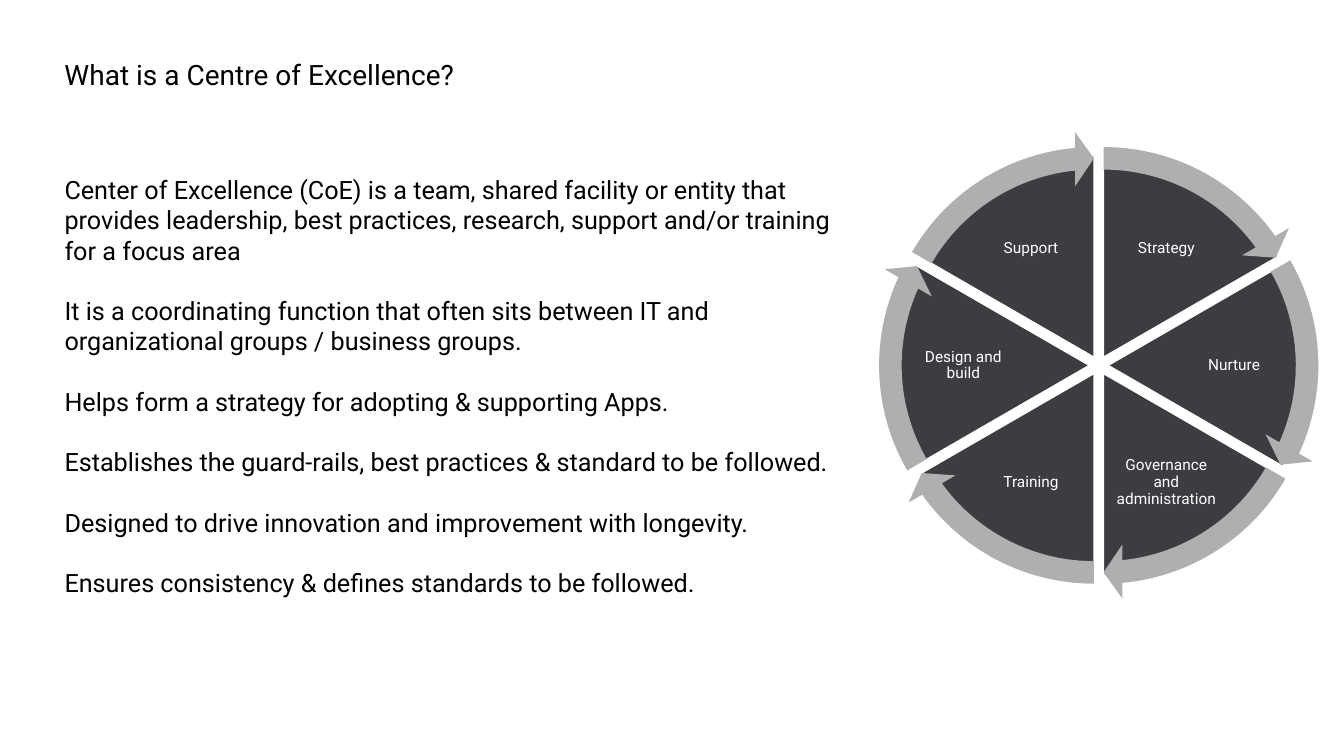
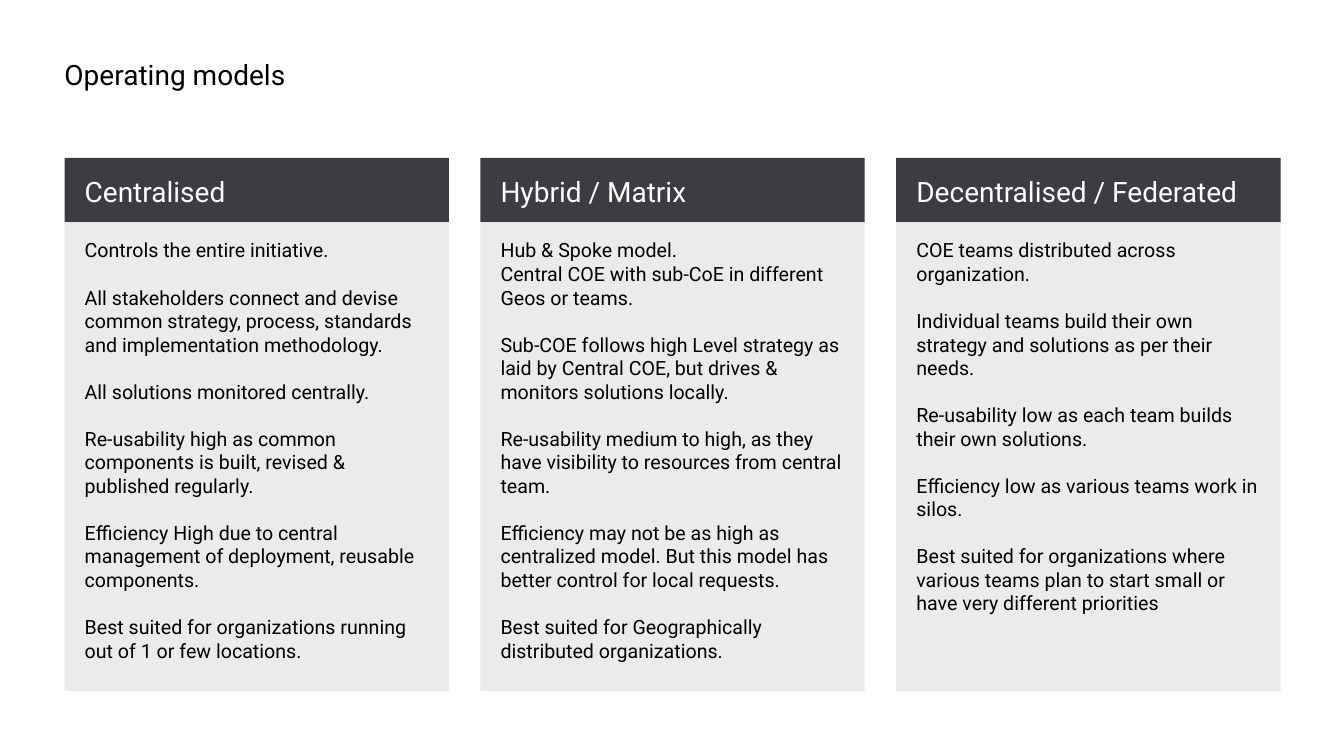
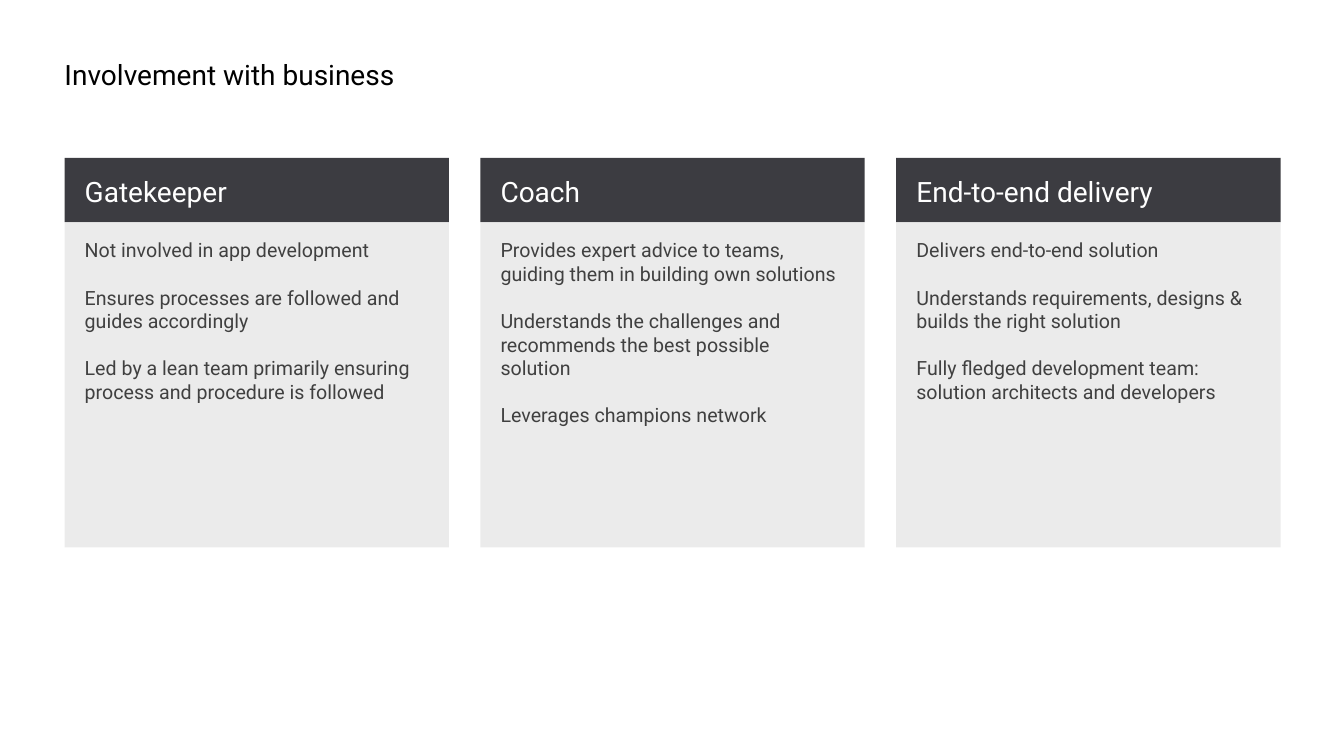
from math import cos, radians, sin

from lxml import etree
from pptx import Presentation
from pptx.dml.color import RGBColor
from pptx.enum.shapes import MSO_SHAPE as Preset
from pptx.enum.text import MSO_ANCHOR as Anchor, PP_ALIGN as Align
from pptx.oxml.ns import qn
from pptx.util import Inches, Pt

WIDTH, HEIGHT = 13.33, 7.5
FONT = "Roboto"
COLORS = {
    "ink": "000000",
    "soft_ink": "404040",
    "paper": "FFFFFF",
    "dark": "3C3C41",
    "card": "D9D9D9",
    "arrow": "AFAFB0",
}
LINE_HEIGHT = 1.2

# Shares of the slide, in percent
MARGIN = 4.8
CARD_WIDTH, CARD_GAP = 28.6, 2.34
BAND_TOP, BAND_HEIGHT = 20.9, 8.5

# Wheel: centre in percent of the slide, sizes in percent of its height
WHEEL_X, WHEEL_Y = 81.75, 48.33
WEDGE_SIZE, ARROW_SIZE, SPREAD = 53.2, 59.73, 1.27
LABEL_RADIUS, LABEL_WIDTH, LABEL_HEIGHT = 17.9, 14.1, 10.7
ARROW_HEAD = 5.46
DEGREE = 0.6  # adjustment units in one degree

DEFINITION = [
    "Center of Excellence (CoE) is a team, shared facility or entity that provides "
    "leadership, best practices, research, support and/or training for a focus area",
    "It is a coordinating function that often sits between IT and organizational "
    "groups / business groups.",
    "Helps form a strategy for adopting & supporting Apps.",
    "Establishes the guard-rails, best practices & standard to be followed.",
    "Designed to drive innovation and improvement with longevity.",
    "Ensures consistency & defines standards to be followed.",
]
PRACTICES = ["Strategy", "Nurture", "Governance and administration",
             "Training", "Design and build", "Support"]
OPERATING_MODELS = {
    "Centralised": [
        "Controls the entire initiative.",
        "All stakeholders connect and devise common strategy, process, standards "
        "and implementation methodology.",
        "All solutions monitored centrally.",
        "Re-usability high as common components is built, revised & published regularly.",
        "Efficiency High due to central management of deployment, reusable components.",
        "Best suited for organizations running out of 1 or few locations.",
    ],
    "Hybrid / Matrix": [
        "Hub & Spoke model.\nCentral COE with sub-CoE in different Geos or teams.",
        "Sub-COE follows high Level strategy as laid by Central COE, but drives & "
        "monitors solutions locally.",
        "Re-usability medium to high, as they have visibility to resources from "
        "central team.",
        "Efficiency may not be as high as centralized model. But this model has "
        "better control for local requests.",
        "Best suited for Geographically distributed organizations.",
    ],
    "Decentralised / Federated": [
        "COE teams distributed across organization.",
        "Individual teams build their own strategy and solutions as per their needs.",
        "Re-usability low as each team builds their own solutions.",
        "Efficiency low as various teams work in silos.",
        "Best suited for organizations where various teams plan to start small or "
        "have very different priorities",
    ],
}
INVOLVEMENT = {
    "Gatekeeper": [
        "Not involved in app development",
        "Ensures processes are followed and guides accordingly",
        "Led by a lean team primarily ensuring process and procedure is followed",
    ],
    "Coach": [
        "Provides expert advice to teams, guiding them in building own solutions",
        "Understands the challenges and recommends the best possible solution",
        "Leverages champions network",
    ],
    "End-to-end delivery": [
        "Delivers end-to-end solution",
        "Understands requirements, designs & builds the right solution",
        "Fully fledged development team: solution architects and developers",
    ],
}


def rgb(name):
    return RGBColor.from_string(COLORS[name])


def write(shape, blocks, size=14, color="ink", align=Align.LEFT,
          anchor=Anchor.TOP, insets=(0, 0), spacing=None):
    """Fill a shape with blocks one blank line apart; a newline starts a closer paragraph."""
    frame = shape.text_frame
    frame.word_wrap = True
    frame.vertical_anchor = anchor
    frame.margin_left = frame.margin_right = Inches(insets[0])
    frame.margin_top = frame.margin_bottom = Inches(insets[1])
    for block_no, block in enumerate(blocks):
        for line_no, line in enumerate(block.split("\n")):
            first = block_no == line_no == 0
            paragraph = frame.paragraphs[0] if first else frame.add_paragraph()
            paragraph.alignment = align
            if spacing:
                paragraph.line_spacing = spacing
            if block_no and not line_no:
                paragraph.space_before = Pt(size * LINE_HEIGHT)
            run = paragraph.add_run()
            run.text = line
            run.font.name = FONT
            run.font.size = Pt(size)
            run.font.color.rgb = rgb(color)


def around_wheel(angle, radius, width, height):
    """Box centred at a polar position on the wheel, in percent of the slide."""
    ratio = HEIGHT / WIDTH
    x = WHEEL_X + radius * cos(radians(angle)) * ratio
    y = WHEEL_Y + radius * sin(radians(angle))
    return x - width * ratio / 2, y - height / 2, width * ratio, height


class Deck:
    def __init__(self):
        self.file = Presentation()
        self.file.slide_width, self.file.slide_height = Inches(WIDTH), Inches(HEIGHT)
        self.slide = None

    def place(self, box):
        left, top, width, height = box
        return [Inches(share * side / 100) for share, side in
                ((left, WIDTH), (top, HEIGHT), (width, WIDTH), (height, HEIGHT))]

    def new_slide(self, title):
        self.slide = self.file.slides.add_slide(self.file.slide_layouts[6])
        self.text((MARGIN, 7.6, 45, 4.5), [title], size=20)

    def text(self, box, blocks, **style):
        write(self.slide.shapes.add_textbox(*self.place(box)), blocks, **style)

    def shape(self, preset, box, fill, adjustments=(), outline=None, opacity=None):
        shape = self.slide.shapes.add_shape(preset, *self.place(box))
        shape.shadow.inherit = False
        shape.fill.solid()
        shape.fill.fore_color.rgb = rgb(fill)
        if opacity:
            tint = next(shape.fill._xPr.iter(qn("a:srgbClr")))
            etree.SubElement(tint, qn("a:alpha")).set("val", str(opacity * 1000))
        if outline:
            shape.line.color.rgb = rgb(outline)
            shape.line.width = Pt(0.85)
        else:
            shape.line.fill.background()
        for index, value in enumerate(adjustments):
            shape.adjustments[index] = value
        return shape

    def cards(self, content, height, color):
        for column, (heading, points) in enumerate(content.items()):
            left = MARGIN + column * (CARD_WIDTH + CARD_GAP)
            band = self.shape(Preset.RECTANGLE,
                              (left, BAND_TOP, CARD_WIDTH, BAND_HEIGHT), "dark")
            write(band, [heading], size=20, color="paper", insets=(0.2, 0.16))
            body = self.shape(Preset.RECTANGLE,
                              (left, BAND_TOP + BAND_HEIGHT, CARD_WIDTH, height),
                              "card", opacity=50)
            write(body, points, color=color, insets=(0.2, 0.16))

    def wheel(self, labels):
        """Clockwise wedges from the top, each with a label, ringed by arrows."""
        step = 360 / len(labels)
        starts = [(270 + step * i) % 360 for i in range(len(labels))]
        for label, start in zip(labels, starts):
            middle, end = start + step / 2, (start + step) % 360
            self.shape(Preset.PIE, around_wheel(middle, SPREAD, WEDGE_SIZE, WEDGE_SIZE),
                       "dark", (start * DEGREE, end * DEGREE), outline="paper")
            self.text(around_wheel(middle, LABEL_RADIUS, LABEL_WIDTH, LABEL_HEIGHT),
                      [label], size=11, color="paper", align=Align.CENTER,
                      anchor=Anchor.MIDDLE, insets=(0.02, 0.02), spacing=0.9)
        for start in starts:
            tip = (start + step - ARROW_HEAD) % 360
            self.shape(Preset.CIRCULAR_ARROW,
                       around_wheel(start + step / 2, SPREAD, ARROW_SIZE, ARROW_SIZE),
                       "arrow", (0.05, ARROW_HEAD * DEGREE, tip * DEGREE,
                                 start * DEGREE, 0.06))


def main():
    deck = Deck()
    deck.new_slide("What is a Centre of Excellence?")
    deck.wheel(PRACTICES)
    deck.text((MARGIN, 23.07, 57.3, 61.9), DEFINITION, size=18)

    deck.new_slide("Operating models")
    deck.cards(OPERATING_MODELS, height=62, color="ink")

    deck.new_slide("Involvement with business")
    deck.cards(INVOLVEMENT, height=43, color="soft_ink")
    deck.file.save("out.pptx")


if __name__ == "__main__":
    main()
